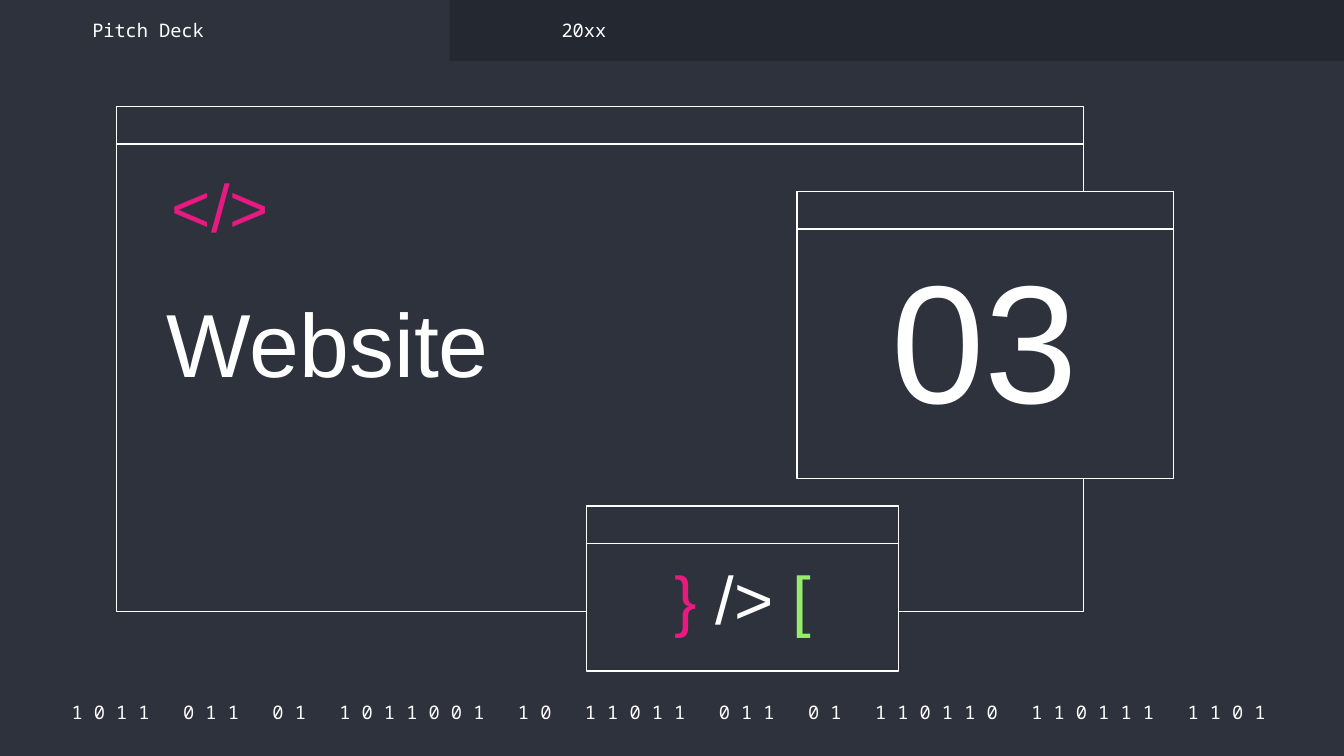
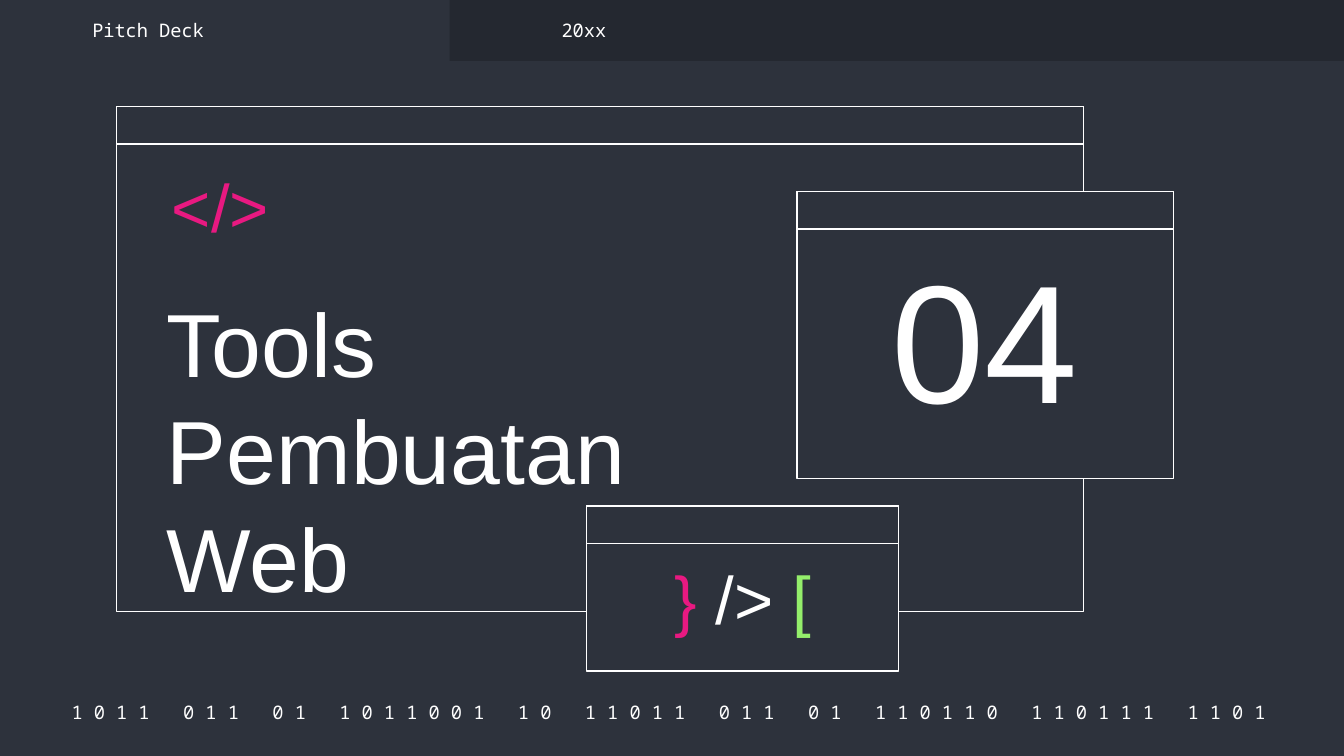
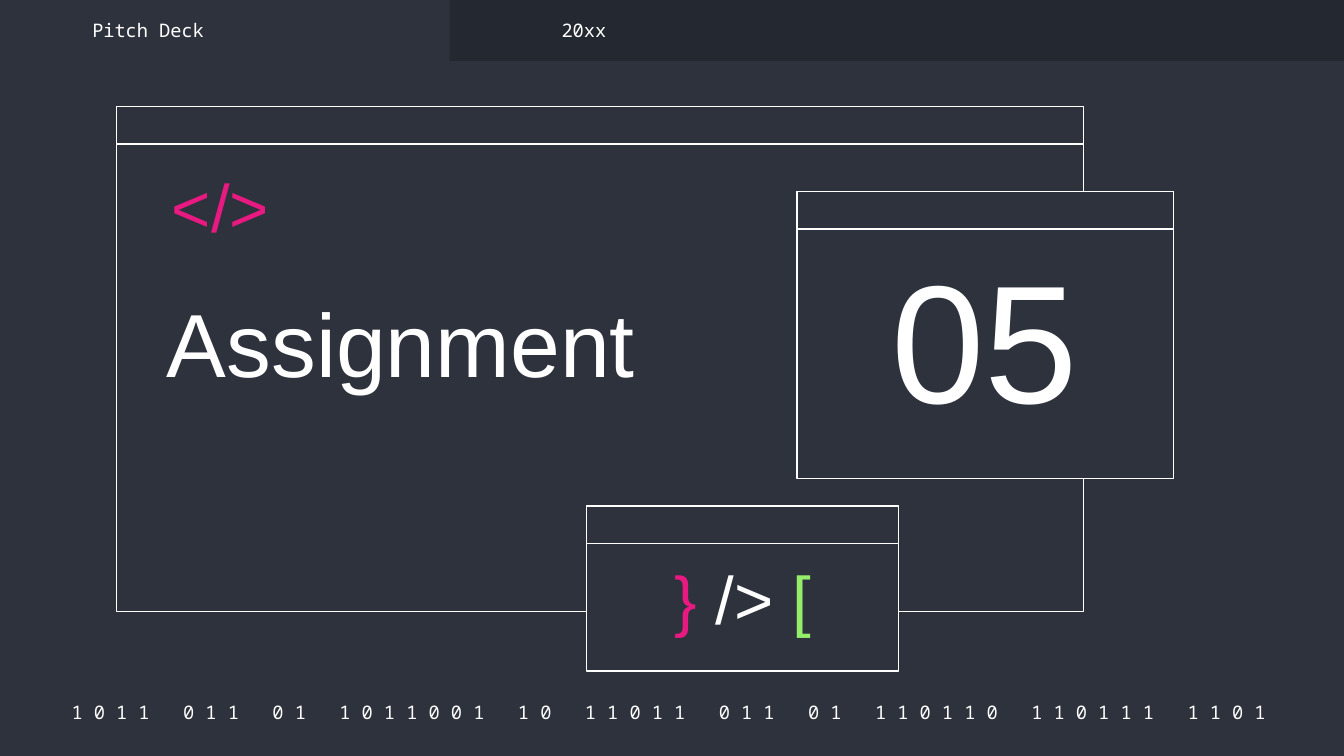
from pptx import Presentation, util as u
from pptx.dml.color import RGBColor
from pptx.enum import shapes, text

COLORS = {
    "background": "2D323C",
    "tab": "242830",
    "white": "FFFFFF",
    "pink": "E81981",
    "green": "94EE6B",
}
CODE_FONT, TITLE_FONT = "Noto Sans Mono", "Arial"
COLUMNS, ROWS = 100, 56.25
CELL = u.Inches(0.1)
TITLE_BAR = 2.8
LEFT, CENTER, RIGHT = text.PP_ALIGN.LEFT, text.PP_ALIGN.CENTER, text.PP_ALIGN.RIGHT
TOP, MIDDLE, BOTTOM = text.MSO_ANCHOR.TOP, text.MSO_ANCHOR.MIDDLE, text.MSO_ANCHOR.BOTTOM
BITS = "1011 011 01 1011001 10 11011 011 01 110110 110111 1101"
BIT_LINE = "   ".join(" ".join(group) for group in BITS.split()) + " "
WINDOWS = [
    (8.66, 7.93, 71.94, 37.6),
    (43.66, 37.64, 23.2, 12.3),
    (59.3, 14.24, 28, 21.36),
]
SECTIONS = [("Website", "03"), ("Tools Pembuatan Web", "04"), ("Assignment", "05")]


def rgb(name):
    return RGBColor.from_string(COLORS[name])


def grid(*lengths):
    return [int(length * CELL) for length in lengths]


def add_rect(parent, box, fill, line=None):
    sp = parent.add_shape(shapes.MSO_SHAPE.RECTANGLE, *grid(*box))
    sp.shadow.inherit = False
    sp.fill.solid()
    sp.fill.fore_color.rgb = rgb(fill)
    if line:
        sp.line.color.rgb = rgb(line)
        sp.line.width = u.Pt(0.75)
    else:
        sp.line.fill.background()


def add_window(s, box):
    group = s.shapes.add_group_shape()
    x, y, width, height = box
    for part in (height, TITLE_BAR):
        add_rect(group.shapes, (x, y, width, part), "background", "white")


def add_text(s, box, parts, size, font=TITLE_FONT, align=LEFT, anchor=TOP, spacing=1.0):
    tf = s.shapes.add_textbox(*grid(*box)).text_frame
    tf.word_wrap = True
    tf.vertical_anchor = anchor
    tf.margin_left = tf.margin_right = tf.margin_top = tf.margin_bottom = CELL
    p = tf.paragraphs[0]
    p.alignment = align
    p.line_spacing = spacing
    for words, color in parts:
        r = p.add_run()
        r.text = words
        r.font.name = font
        r.font.size = u.Pt(size)
        r.font.color.rgb = rgb(color)


def add_label(s, box, words, align=LEFT):
    add_text(s, box, [(words, "white")], 10, CODE_FONT, align, MIDDLE)


def add_frame(s):
    s.background.fill.solid()
    s.background.fill.fore_color.rgb = rgb("background")
    add_label(s, (3.8, 52, 92.7, 2), BIT_LINE, CENTER)
    add_rect(s.shapes, (33.46, 0, COLUMNS - 33.46, 4.54), "tab")
    for x, words in ((5.88, "Pitch Deck"), (40.8, "20xx")):
        add_label(s, (x, 1.26, 21.9, 2), words)


def add_section(prs, title, number):
    s = prs.slides.add_slide(prs.slide_layouts[6])
    add_frame(s)
    for box in WINDOWS:
        add_window(s, box)
    add_text(s, (11.44, 20.4, 43.6, 9), [(title, "white")], 48)
    add_text(s, (61.14, 17, 24.3, 16.5), [(number, "white")], 90, align=CENTER, anchor=BOTTOM)
    add_text(s, (9.2, 12, 11.8, 6.2), [("</>", "pink")], 36, align=RIGHT, spacing=0.9)
    symbols = [("}", "pink"), (" /> ", "white"), ("[", "green")]
    add_text(s, (48.62, 41.14, 13.3, 8.2), symbols, 36, align=CENTER, spacing=0.9)


def main():
    prs = Presentation()
    prs.slide_width, prs.slide_height = grid(COLUMNS, ROWS)
    for title, number in SECTIONS:
        add_section(prs, title, number)
    prs.save("out.pptx")


if __name__ == "__main__":
    main()
